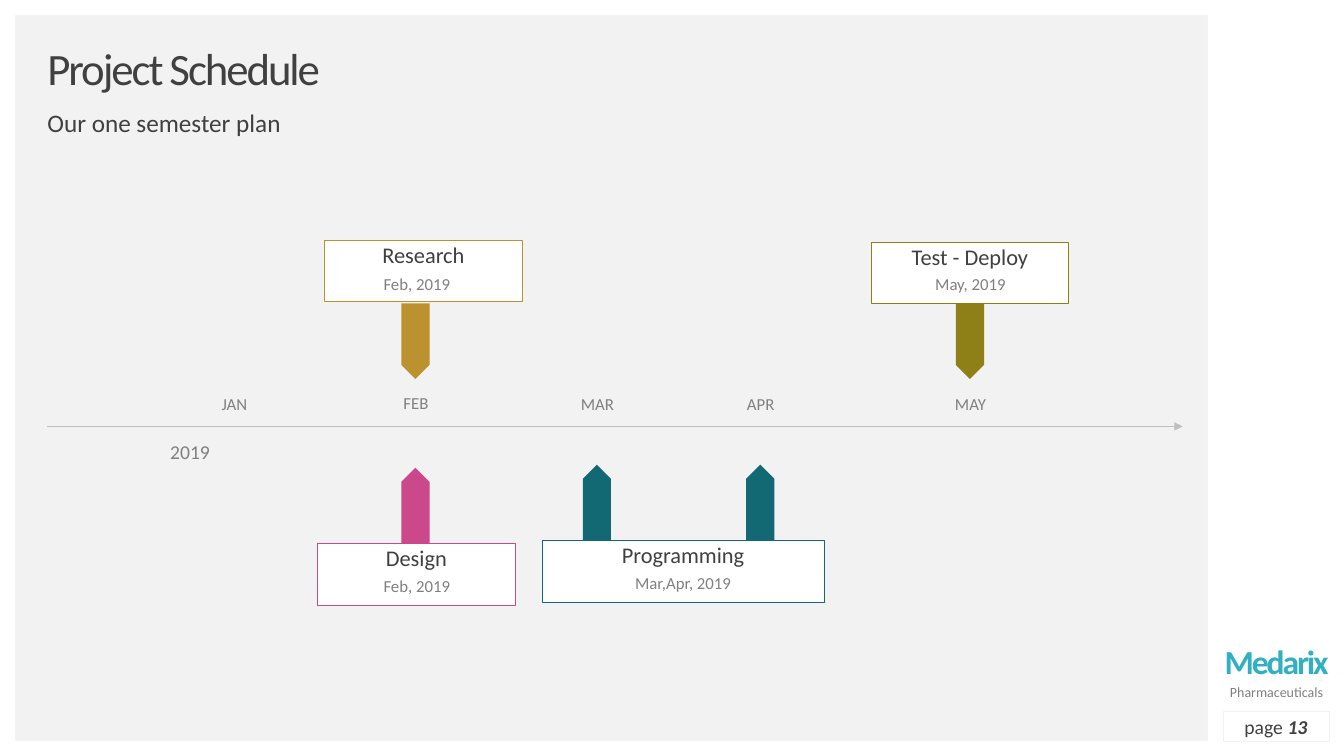
from lxml import etree
from pptx import Presentation, util as u
from pptx.dml.color import RGBColor
from pptx.enum import shapes, text
from pptx.oxml import ns

PX = 9144  # 100 px to the inch
WIDTH, HEIGHT = 1333, 750

WHITE = RGBColor(0xFF, 0xFF, 0xFF)
PAPER = RGBColor(0xF2, 0xF2, 0xF2)
INK = RGBColor(0x40, 0x40, 0x40)
MUTED = RGBColor(0x80, 0x80, 0x80)
AXIS = RGBColor(0xBF, 0xBF, 0xBF)
BRAND = RGBColor(0x31, 0xB0, 0xC1)
PINK = RGBColor(0xCB, 0x48, 0x8B)
GOLD = RGBColor(0xBC, 0x92, 0x30)
TEAL = RGBColor(0x12, 0x69, 0x74)
OLIVE = RGBColor(0x8E, 0x80, 0x16)

CENTER, LEFT = text.PP_ALIGN.CENTER, text.PP_ALIGN.LEFT
TOP, MIDDLE = text.MSO_ANCHOR.TOP, text.MSO_ANCHOR.MIDDLE

CARD_HEIGHT, DATE_WIDTH, DATE_HEIGHT = 61, 185, 25
POINTER_LENGTH, POINTER_WIDTH = 75, 28
MONTH_WIDTH, MONTH_HEIGHT = 41, 22

MONTHS = [("JAN", 212, 393), ("FEB", 392, 392), ("MAR", 572, 393),
          ("APR", 734, 393), ("MAY", 942, 393)]

# stage, dates, colour, card (left, top, width), date (left, top),
# pointer tops, pointer centres, pointer rotation
MILESTONES = [
    ("Design", "Feb, 2019", PINK, (315, 539, 196), (321, 573), 464, [412], 270),
    ("Research", "Feb, 2019", GOLD, (322, 238, 196), (321, 274), 301, [412], 90),
    ("Programming", "Mar,Apr, 2019", TEAL, (538, 536, 279), (585, 570), 461,
     [592, 754], 270),
    ("Test - Deploy", "May, 2019", OLIVE, (864, 240, 196), (870, 274), 301, [962], 90),
]


def px(*lengths):
    return [u.Emu(round(length * PX)) for length in lengths]


def apply(target, formats):
    for name, value in formats.items():
        setattr(target, name, value)


def set_frame(frame, anchor=TOP, inset_top=0):
    apply(frame, dict(word_wrap=True, auto_size=text.MSO_AUTO_SIZE.NONE,
                      vertical_anchor=anchor, margin_left=0, margin_right=0,
                      margin_top=px(inset_top)[0], margin_bottom=0))


def add_run(paragraph, words, size, color, bold=False, italic=False, spacing=0):
    run = paragraph.add_run()
    run.text = words
    apply(run.font, dict(name="Calibri", size=u.Pt(size), bold=bold, italic=italic))
    run.font.color.rgb = color
    if spacing:
        run.font._element.set("spc", str(round(spacing * 100)))


def write(shape, words, size, color, align=CENTER, anchor=TOP, inset_top=0,
          before=10, spacing=0):
    set_frame(shape.text_frame, anchor, inset_top)
    paragraph = shape.text_frame.paragraphs[0]
    apply(paragraph, dict(alignment=align, line_spacing=0.9, space_before=u.Pt(before)))
    add_run(paragraph, words, size, color, spacing=spacing)
    return paragraph


def add_label(slide, box, words, size, color, **formats):
    write(slide.shapes.add_textbox(*px(*box)), words, size, color, **formats)


def add_block(slide, kind, box, fill=None, outline=None):
    block = slide.shapes.add_shape(kind, *px(*box))
    block.shadow.inherit = False
    if fill is None:
        block.fill.background()
    else:
        block.fill.solid()
        block.fill.fore_color.rgb = fill
    if outline is None:
        block.line.fill.background()
    else:
        block.line.color.rgb = outline
        block.line.width = u.Pt(0.25)
    return block


def add_frame_bands(slide):
    for band in [(0, 0, WIDTH, 15), (0, 0, 15, HEIGHT),
                 (1198, 0, 135, HEIGHT), (0, 735, WIDTH, 15)]:
        add_block(slide, shapes.MSO_SHAPE.RECTANGLE, band, WHITE)


def place(placeholder, box):
    apply(placeholder, dict(zip(("left", "top", "width", "height"), px(*box))))


def add_heading(slide, left, top, width):
    title, subtitle = slide.shapes.title, slide.placeholders[1]
    place(title, (left, top, width, 47))
    write(title, "Project Schedule", 32, INK, LEFT, MIDDLE, before=0, spacing=-1.5)
    place(subtitle, (left, top + 63, width, 28))
    paragraph = write(subtitle, "Our one semester plan", 18, INK, LEFT)
    properties = paragraph._p.get_or_add_pPr()
    properties.set("marL", "0")
    properties.set("indent", "0")
    etree.SubElement(properties, ns.qn("a:buNone"))


def add_axis(slide, left, right, y):
    axis = slide.shapes.add_connector(shapes.MSO_CONNECTOR.STRAIGHT,
                                      *px(left, y, right, y))
    axis.line.color.rgb = AXIS
    axis.line.width = u.Pt(0.5)
    etree.SubElement(axis.line._get_or_add_ln(), ns.qn("a:tailEnd"), type="triangle")
    etree.SubElement(axis._element.spPr, ns.qn("a:effectLst"))
    for month, month_left, month_top in MONTHS:
        add_label(slide, (month_left, month_top, MONTH_WIDTH, MONTH_HEIGHT),
                  month, 12, MUTED)
    add_label(slide, (166, y + 16, 45, 22), "2019", 14, MUTED, anchor=MIDDLE)


def add_milestone(slide, stage, dates, color, card_place, date_place,
                  pointer_top, pointer_centers, rotation):
    for center in pointer_centers:
        pointer = add_block(slide, shapes.MSO_SHAPE.PENTAGON,
                            (center - POINTER_LENGTH / 2,
                             pointer_top + (POINTER_LENGTH - POINTER_WIDTH) / 2,
                             POINTER_LENGTH, POINTER_WIDTH), color)
        pointer.rotation = rotation
    card = add_block(slide, shapes.MSO_SHAPE.RECTANGLE, (*card_place, CARD_HEIGHT),
                     WHITE, color)
    write(card, stage, 16, INK, inset_top=4)
    add_label(slide, (*date_place, DATE_WIDTH, DATE_HEIGHT), dates, 12, MUTED)


def add_brand_corner(slide, left, top):
    """Company name and page number at the lower right."""
    company = slide.shapes.add_textbox(*px(left, top, 118, 39))
    set_frame(company.text_frame)
    paragraph = company.text_frame.paragraphs[0]
    apply(paragraph, dict(alignment=CENTER, line_spacing=u.Pt(14)))
    add_run(paragraph, "Medarix", 24, BRAND, bold=True, spacing=-1.5)
    paragraph.add_line_break()
    add_run(paragraph, "Pharmaceuticals", 10, MUTED)

    page = add_block(slide, shapes.MSO_SHAPE.RECTANGLE,
                     (left + 6, top + 50, 105, 29), outline=PAPER)
    set_frame(page.text_frame, MIDDLE)
    paragraph = page.text_frame.paragraphs[0]
    paragraph.alignment = CENTER
    add_run(paragraph, "page ", 14, INK)
    add_run(paragraph, "13", 14, INK, bold=True, italic=True)


def build_schedule(deck):
    slide = deck.slides.add_slide(deck.slide_layouts[1])
    slide.background.fill.solid()
    slide.background.fill.fore_color.rgb = PAPER
    add_frame_bands(slide)
    add_heading(slide, 47, 47, 1109)
    add_axis(slide, 47, 1173, 423)
    for milestone in MILESTONES:
        add_milestone(slide, *milestone)
    add_brand_corner(slide, 1207, 656)


def main():
    deck = Presentation()
    deck.slide_width, deck.slide_height = px(WIDTH, HEIGHT)
    build_schedule(deck)
    deck.save("out.pptx")


if __name__ == "__main__":
    main()
